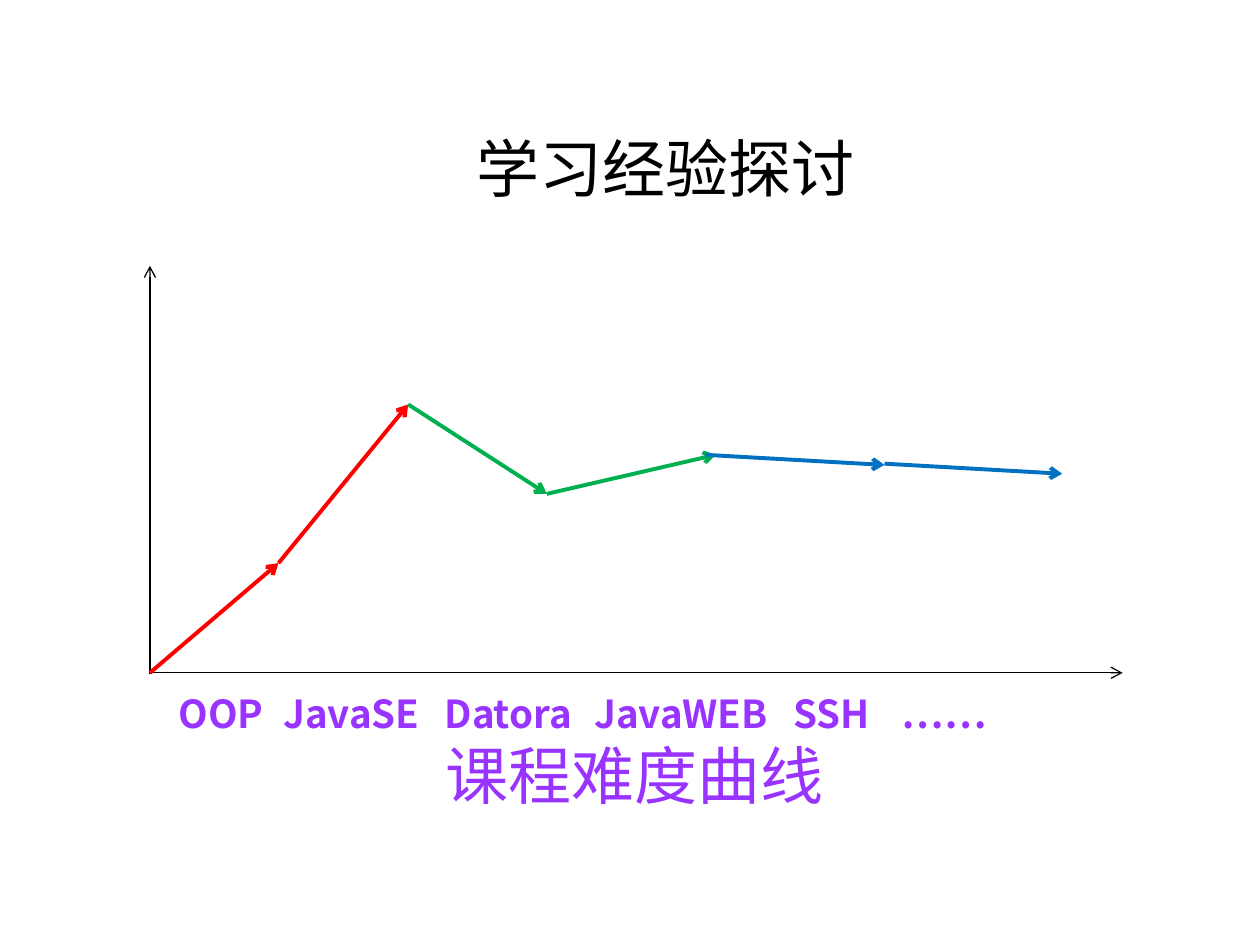
from lxml import etree
from pptx import Presentation
from pptx.dml.color import RGBColor
from pptx.enum.shapes import MSO_CONNECTOR
from pptx.enum.text import MSO_ANCHOR, PP_ALIGN
from pptx.oxml.ns import qn
from pptx.util import Inches, Pt

STRAIGHT = MSO_CONNECTOR.STRAIGHT
MIDDLE = MSO_ANCHOR.MIDDLE
CENTER = PP_ALIGN.CENTER

BLACK = RGBColor(0x00, 0x00, 0x00)
RED = RGBColor(0xFF, 0x00, 0x00)
GREEN = RGBColor(0x00, 0xB0, 0x50)
BLUE = RGBColor(0x00, 0x70, 0xC0)
PURPLE = RGBColor(0x99, 0x33, 0xFF)
CJK_FONT = "Noto Sans CJK SC"


def add_run(paragraph, text, size, color, font_name, bold=False):
    run = paragraph.add_run()
    run.text = text
    run.font.size = Pt(size)
    run.font.bold = bold
    run.font.color.rgb = color
    run.font.name = font_name
    east_asian = etree.SubElement(run.font._element, qn("a:ea"))
    east_asian.set("typeface", CJK_FONT)


def add_arrow(start, end, color, width):
    points = [Inches(value) for value in (*start, *end)]
    arrow = slide.shapes.add_connector(STRAIGHT, *points)
    arrow.line.color.rgb = color
    arrow.line.width = Pt(width)
    tail = etree.SubElement(arrow.line._get_or_add_ln(), qn("a:tailEnd"))
    tail.set("type", "arrow")
    etree.SubElement(arrow._element.spPr, qn("a:effectLst"))


presentation = Presentation()
presentation.slide_width = Inches(10)
presentation.slide_height = Inches(7.5)
slide = presentation.slides.add_slide(presentation.slide_layouts[6])

title = slide.shapes.add_textbox(Inches(0.78), Inches(0.86), Inches(9), Inches(0.94))
title.text_frame.word_wrap = True
title.text_frame.vertical_anchor = MIDDLE
paragraph = title.text_frame.paragraphs[0]
paragraph.alignment = CENTER
add_run(paragraph, "学习经验探讨", 36, BLACK, "Calibri")

add_arrow((1.19, 5.34), (8.91, 5.34), BLACK, 0.75)
add_arrow((1.19, 5.35), (1.19, 2.11), BLACK, 0.75)

curve = [
    ((1.19, 5.34), (2.21, 4.47), RED),
    ((2.21, 4.47), (3.24, 3.21), RED),
    ((3.24, 3.21), (4.34, 3.92), GREEN),
    ((4.34, 3.92), (5.68, 3.61), GREEN),
    ((5.6, 3.61), (7.02, 3.69), BLUE),
    ((7.02, 3.68), (8.43, 3.76), BLUE),
]
for start, end, color in curve:
    add_arrow(start, end, color, 2.25)

courses = [
    ("OOP", 0.46),
    ("JavaSE", 1.29),
    ("Datora", 2.57),
    ("JavaWEB", 3.76),
    ("SSH", 5.34),
    ("……", 6.2),
]
caption = slide.shapes.add_textbox(Inches(0.86), Inches(5.47), Inches(8.35), Inches(1.1))
caption.text_frame.word_wrap = True
course_line = caption.text_frame.paragraphs[0]
course_line.line_spacing = 0.9
tab_list = etree.SubElement(course_line._p.get_or_add_pPr(), qn("a:tabLst"))
for course, position in courses:
    tab = etree.SubElement(tab_list, qn("a:tab"))
    tab.set("pos", str(Inches(position)))
    tab.set("algn", "l")
    add_run(course_line, "\t" + course, 22, PURPLE, CJK_FONT, True)

curve_name = caption.text_frame.add_paragraph()
curve_name.alignment = CENTER
curve_name.line_spacing = 0.9
curve_name.space_before = Pt(4.5)
add_run(curve_name, "课程难度曲线", 36, PURPLE, CJK_FONT)

presentation.save("out.pptx")
